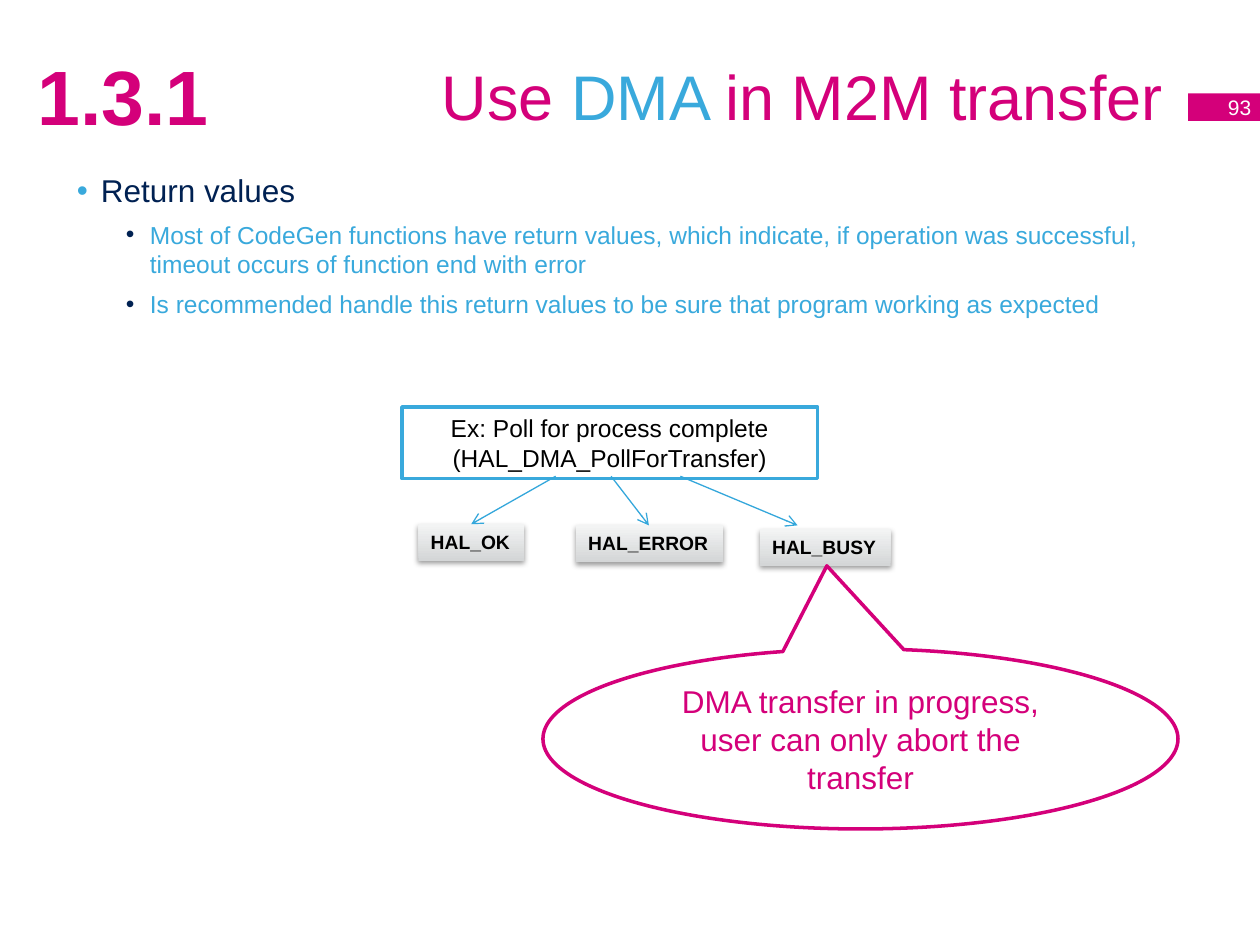
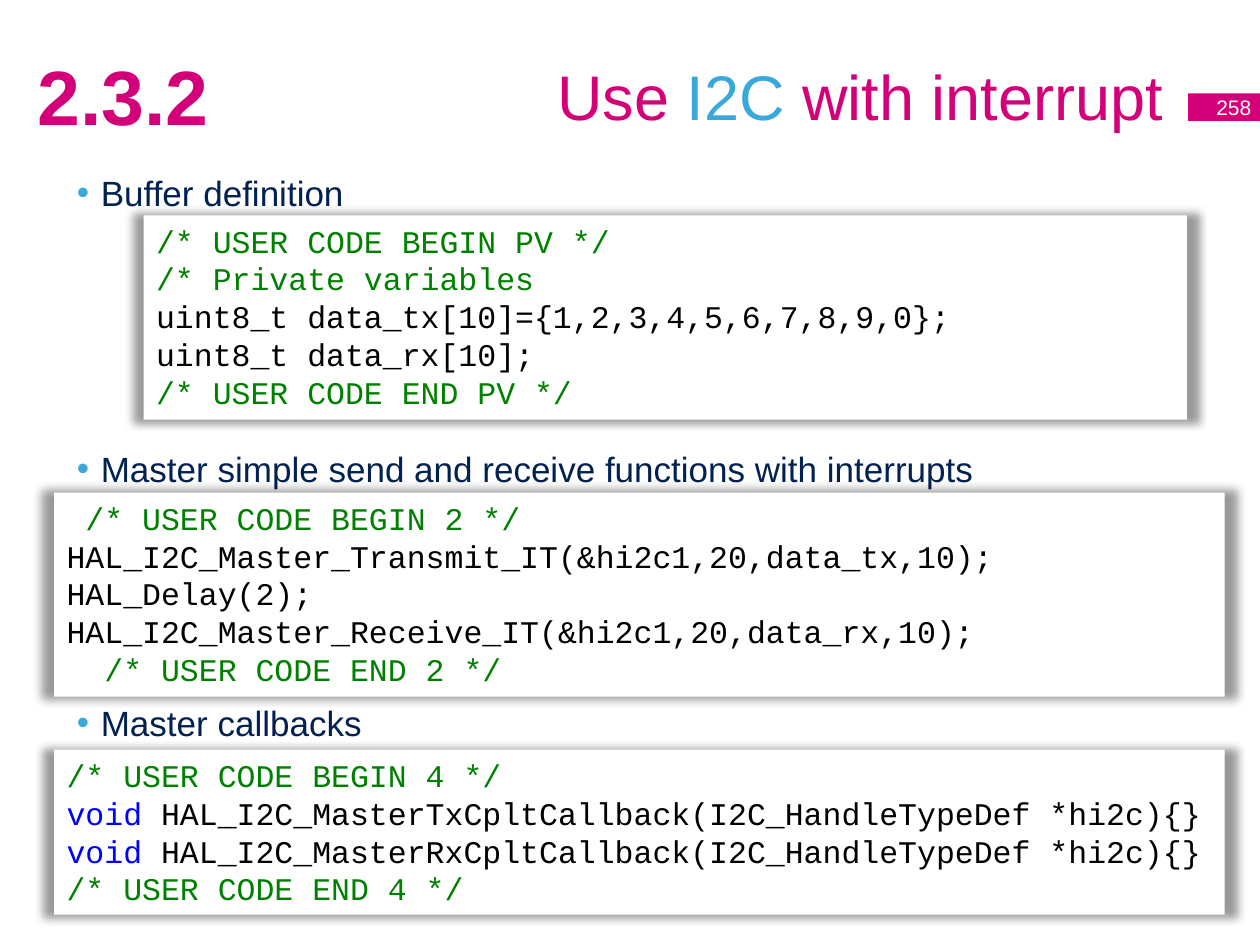
from lxml import etree
from pptx import Presentation
from pptx.dml.color import RGBColor
from pptx.enum.shapes import MSO_CONNECTOR, MSO_SHAPE
from pptx.enum.text import MSO_ANCHOR, MSO_AUTO_SIZE, PP_ALIGN
from pptx.oxml.ns import qn
from pptx.util import Inches, Pt

PINK = RGBColor(0xD4, 0x00, 0x7A)
SKY = RGBColor(0x39, 0xA9, 0xDC)
ARROW_BLUE = RGBColor(0x34, 0xA7, 0xDB)
NAVY = RGBColor(0x00, 0x21, 0x52)
WHITE = RGBColor(0xFF, 0xFF, 0xFF)
BLACK = RGBColor(0x00, 0x00, 0x00)
SILVER_DARK = RGBColor(0xD4, 0xD6, 0xD7)
SILVER_LIGHT = RGBColor(0xF3, 0xF4, 0xF4)
COMMENT = RGBColor(0x00, 0x80, 0x00)
KEYWORD = RGBColor(0x00, 0x00, 0xFF)

# The slide is a grid of 100 columns by 75 rows
CELL = Inches(0.1)
COLUMNS, ROWS = 100, 75


def write_lines(frame, lines, size, font="Arial", align=PP_ALIGN.LEFT, bold=False):
    """Fill a text frame; each line is a list of (text, colour) runs."""
    for index, line in enumerate(lines):
        paragraph = frame.add_paragraph() if index else frame.paragraphs[0]
        paragraph.alignment = align
        paragraph.font.size = Pt(size)
        paragraph.font.name = font
        paragraph.font.bold = bold
        for text, colour in line:
            run = paragraph.add_run()
            run.text = text
            run.font.color.rgb = colour


def add_box(slide, kind, place, fill, outline=None, shadow=None, anchor=MSO_ANCHOR.MIDDLE):
    """Add a shape at grid place (column, row, columns, rows)."""
    box = slide.shapes.add_shape(kind, *[int(n * CELL) for n in place])
    box.shadow.inherit = False
    box.fill.solid()
    box.fill.fore_color.rgb = fill
    if outline:
        box.line.color.rgb = outline
        box.line.width = Pt(2)
    else:
        box.line.fill.background()
    if shadow:
        opacity, blur, distance, scale = shadow
        effects = box._element.spPr.find(qn("a:effectLst"))
        outer = etree.SubElement(
            effects, qn("a:outerShdw"), blurRad=str(Pt(blur)), dist=str(Pt(distance)),
            dir="5400000", sx=str(scale * 1000), sy=str(scale * 1000),
            algn="ctr", rotWithShape="0")
        black = etree.SubElement(outer, qn("a:srgbClr"), val=str(BLACK))
        etree.SubElement(black, qn("a:alpha"), val=str(opacity * 1000))
    box.text_frame.word_wrap = True
    box.text_frame.vertical_anchor = anchor
    return box


deck = Presentation()
deck.slide_width, deck.slide_height = COLUMNS * CELL, ROWS * CELL

# Chapter, page, title runs, body height, bullets (level, text, size, space before)
topics = [
    ("1.3.1", "93", ("Use", " DMA ", "in M2M transfer"), 19.2, [
        (0, "Return values", 18, 0),
        (1, "Most of CodeGen functions have return values, which indicate, if operation "
            "was successful, timeout occurs of function end with error", 14, 0),
        (1, "Is recommended handle this return values to be sure that program working "
            "as expected", 14, 0)]),
    ("2.3.2", "258", ("Use", " I2C ", "with interrupt"), 46.6, [
        (0, "Buffer definition", 20, 0),
        (0, "Master simple send and receive functions with interrupts", 20, 128),
        (0, "Master callbacks", 20, 115)]),
]
# Per level: left margin in columns, bullet colour, text colour
levels = [(1.9, SKY, NAVY), (5.8, NAVY, SKY)]

# Shared parts of both slides
for chapter, page, (before, topic, after), body_rows, bullets in topics:
    slide = deck.slides.add_slide(deck.slide_layouts[1])
    title, body = slide.placeholders
    for holder, place in ((title, (5, 1.3, 88.3, 12.5)), (body, (5.1, 13.1, 90, body_rows))):
        holder.left, holder.top, holder.width, holder.height = [int(n * CELL) for n in place]
        holder.text_frame.auto_size = MSO_AUTO_SIZE.NONE
    title.text_frame.vertical_anchor = MSO_ANCHOR.MIDDLE
    write_lines(title.text_frame, [[(before, PINK), (topic, SKY), (after, PINK)]],
                36, align=PP_ALIGN.RIGHT)

    # Bulleted list
    for index, (level, text, size, gap) in enumerate(bullets):
        frame = body.text_frame
        item = frame.add_paragraph() if index else frame.paragraphs[0]
        margin, bullet_colour, text_colour = levels[level]
        item.level = level
        properties = item._p.get_or_add_pPr()
        properties.set("marL", str(int(margin * CELL)))
        properties.set("indent", str(int(-1.9 * CELL)))
        colour = etree.SubElement(properties, qn("a:buClr"))
        etree.SubElement(colour, qn("a:srgbClr"), val=str(bullet_colour))
        etree.SubElement(properties, qn("a:buFont"), typeface="Arial")
        etree.SubElement(properties, qn("a:buChar"), char="•")
        item.space_before, item.space_after = Pt(gap), Pt(6)
        item.font.size, item.font.name = Pt(size), "Arial"
        item.font.color.rgb = text_colour
        item.add_run().text = text

    # Page tab and chapter number
    tab = add_box(slide, MSO_SHAPE.RECTANGLE, (94.3, 7.4, 6, 2.2), PINK)
    tab.text_frame.word_wrap = False
    write_lines(tab.text_frame, [[(page, WHITE)]], 12, align=PP_ALIGN.RIGHT)
    number = slide.shapes.add_textbox(*[int(n * CELL) for n in (2, 1.3, 18.9, 12.5)]).text_frame
    number.word_wrap = True
    number.vertical_anchor = MSO_ANCHOR.MIDDLE
    write_lines(number, [[(chapter, PINK)]], 44, bold=True)

return_values, interrupts = deck.slides

# Polling call
poll = add_box(return_values, MSO_SHAPE.RECTANGLE, (31.9, 32.3, 33, 5.7), WHITE, SKY)
write_lines(poll.text_frame, [[("Ex: Poll for process complete", BLACK)],
                              [("(HAL_DMA_PollForTransfer)", BLACK)]],
            14, align=PP_ALIGN.CENTER)

# Statuses: name, column, row, width, arrow start column, arrow end column
statuses = [("HAL_OK", 33.2, 41.6, 8.4, 44.1, 37.4),
            ("HAL_ERROR", 45.7, 41.7, 11.7, 48.5, 51.5),
            ("HAL_BUSY", 60.3, 42, 10.4, 54, 63.3)]
for name, column, row, width, start, end in statuses:
    status = add_box(return_values, MSO_SHAPE.RECTANGLE, (column, row, width, 2.9),
                     SILVER_LIGHT, shadow=(38, 3.1, 1.6, 100), anchor=MSO_ANCHOR.TOP)
    status.fill.gradient()
    status.fill.gradient_angle = 90
    for stop, shade in zip(status.fill.gradient_stops, (SILVER_DARK, SILVER_LIGHT)):
        stop.color.rgb = shade
    status.text_frame.word_wrap = False
    write_lines(status.text_frame, [[(name, BLACK)]], 11, bold=True)

    arrow = return_values.shapes.add_connector(
        MSO_CONNECTOR.STRAIGHT,
        *[int(n * CELL) for n in (start, 37.8, end, min(row, 41.7))])
    arrow.line.color.rgb = ARROW_BLUE
    arrow.line.width = Pt(0.75)
    etree.SubElement(arrow.line._get_or_add_ln(), qn("a:tailEnd"), type="arrow")
    etree.SubElement(arrow._element.spPr, qn("a:effectLst"))

# Remark on the busy status
remark = add_box(return_values, MSO_SHAPE.OVAL_CALLOUT, (43.1, 51.5, 50.4, 14.3), WHITE, PINK)
remark.adjustments[0], remark.adjustments[1] = -0.053, -0.961
write_lines(remark.text_frame,
            [[("DMA transfer in progress, user can only abort the transfer", PINK)]],
            18, align=PP_ALIGN.CENTER)

# Code listings: place and lines
listings = [
    ((11.4, 17.1, 82.8, 16.2), [
        [("/* USER CODE BEGIN PV */", COMMENT)],
        [("/* Private variables", COMMENT)],
        [("uint8_t data_tx[10]={1,2,3,4,5,6,7,8,9,0};", BLACK)],
        [("uint8_t data_rx[10];", BLACK)],
        [("/* USER CODE END PV */", COMMENT)]]),
    ((4.3, 39.1, 92.9, 16.2), [
        [(" /* USER CODE BEGIN 2 */", COMMENT)],
        [("HAL_I2C_Master_Transmit_IT(&hi2c1,20,data_tx,10);", BLACK)],
        [("HAL_Delay(2);", BLACK)],
        [("HAL_I2C_Master_Receive_IT(&hi2c1,20,data_rx,10);", BLACK)],
        [("  /* USER CODE END 2 */", COMMENT)]]),
    ((4.3, 59.5, 92.9, 13.1), [
        [("/* USER CODE BEGIN 4 */", COMMENT)],
        *[[("void", KEYWORD),
           (f" HAL_I2C_Master{way}CpltCallback(I2C_HandleTypeDef *hi2c){{}}", BLACK)]
          for way in ("Tx", "Rx")],
        [("/* USER CODE END 4 */", COMMENT)]]),
]
for place, code in listings:
    listing = add_box(interrupts, MSO_SHAPE.RECTANGLE, place, WHITE,
                      shadow=(40, 5, 0, 102), anchor=MSO_ANCHOR.TOP)
    write_lines(listing.text_frame, code, 18, font="Courier New")

deck.save("out.pptx")
